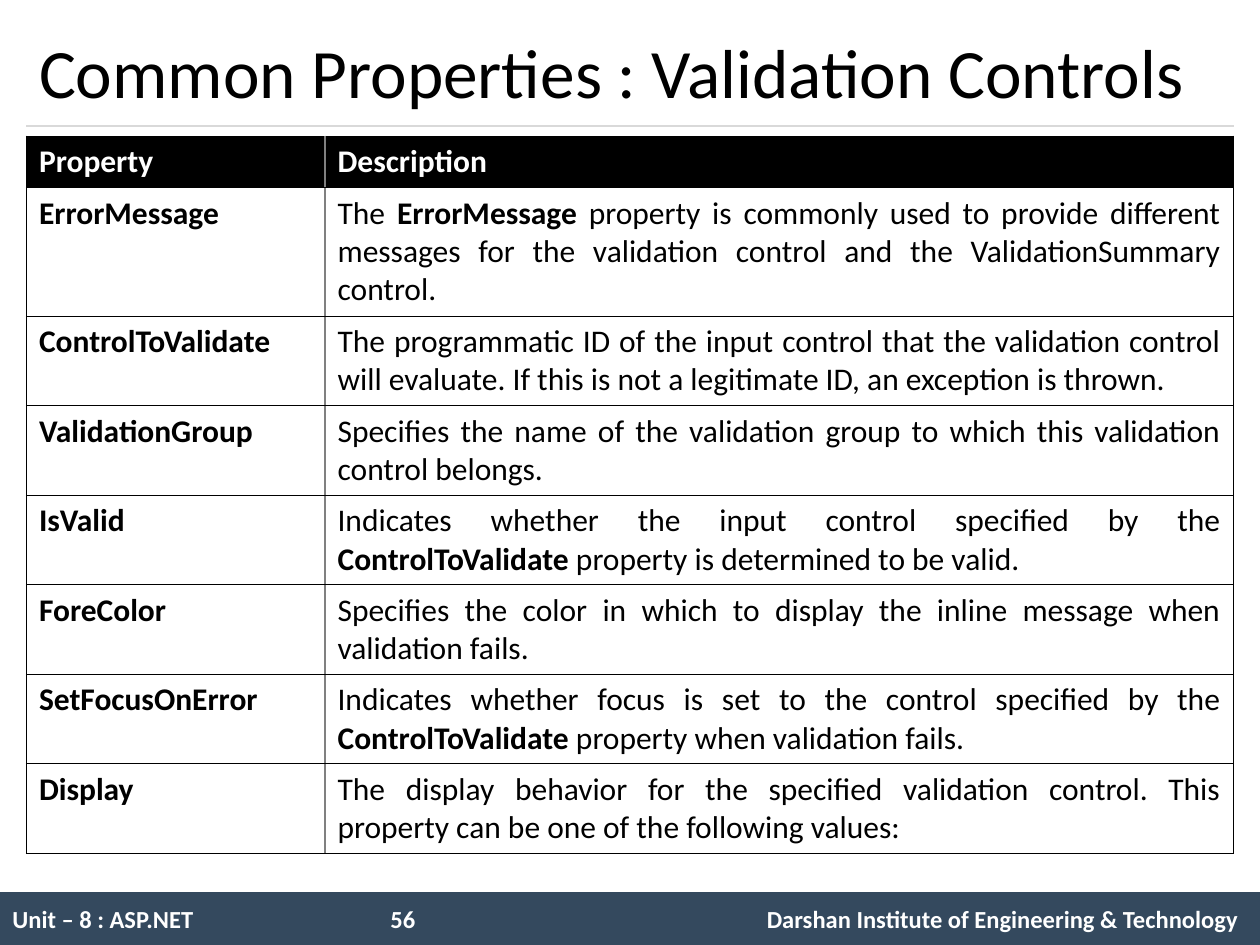
"""Builds the slide on the common properties of validation controls."""
from lxml import etree
from pptx import Presentation
from pptx.dml.color import RGBColor
from pptx.enum.shapes import MSO_CONNECTOR, MSO_SHAPE
from pptx.enum.text import MSO_ANCHOR, MSO_AUTO_SIZE, PP_ALIGN
from pptx.oxml.ns import qn
from pptx.util import Inches, Pt

BLACK = RGBColor(0x00, 0x00, 0x00)
WHITE = RGBColor(0xFF, 0xFF, 0xFF)
SLATE = RGBColor(0x34, 0x49, 0x5E)
RULE_GREY = RGBColor(0xD9, 0xD9, 0xD9)
DIVIDER_GREY = RGBColor(0x80, 0x80, 0x80)
LEFT, JUSTIFY = PP_ALIGN.LEFT, PP_ALIGN.JUSTIFY
MIDDLE = MSO_ANCHOR.MIDDLE
NO_FIT = MSO_AUTO_SIZE.NONE
RECTANGLE = MSO_SHAPE.RECTANGLE
STRAIGHT = MSO_CONNECTOR.STRAIGHT

MARGIN, CONTENT_WIDTH = 0.21, 9.58
COLUMN_WIDTHS = (2.37, 7.21)
ROW_HEIGHTS = (0.41, 1.02) + (0.71,) * 6
OUTER, DIVIDER = (BLACK, 0.75), (DIVIDER_GREY, 1)

HEADINGS = ("Property", "Description")
PROPERTIES = (
    ("ErrorMessage", "The **ErrorMessage** property is commonly used to provide different "
     "messages for the validation control and the ValidationSummary control."),
    ("ControlToValidate", "The programmatic ID of the input control that the validation control "
     "will evaluate. If this is not a legitimate ID, an exception is thrown."),
    ("ValidationGroup", "Specifies the name of the validation group to which this validation "
     "control belongs."),
    ("IsValid", "Indicates whether the input control specified by the **ControlToValidate** "
     "property is determined to be valid."),
    ("ForeColor", "Specifies the color in which to display the inline message when "
     "validation fails."),
    ("SetFocusOnError", "Indicates whether focus is set to the control specified by the "
     "**ControlToValidate** property when validation fails."),
    ("Display", "The display behavior for the specified validation control. This property "
     "can be one of the following values:"),
)
FOOTER = ("Unit – 8 : ASP.NET", "56", "Darshan Institute of Engineering & Technology")
FOOTER_TABS = ((3, "l"), (9.73, "r"))


def write(frame, text, size=18, color=BLACK, bold=False, align=LEFT, font="Calibri"):
    """Write text into a frame, switching weight at each double asterisk."""
    paragraph = frame.paragraphs[0]
    paragraph.alignment = align
    for index, part in enumerate(text.split("**")):
        run = paragraph.add_run()
        run.text = part
        run.font.name = font
        run.font.size = Pt(size)
        run.font.bold = bold != (index % 2 == 1)
        run.font.color.rgb = color
    return paragraph


def set_borders(cell, **borders):
    """Draw the named sides of a cell, given as L, R, T and B."""
    properties = cell._tc.get_or_add_tcPr()
    for position, side in enumerate("LRTB"):
        color, width = borders[side]
        line = etree.Element(qn(f"a:ln{side}"), w=str(Pt(width)))
        fill = etree.SubElement(line, qn("a:solidFill"))
        etree.SubElement(fill, qn("a:srgbClr"), val=str(color))
        properties.insert(position, line)


class SlideBuilder:
    """Holds the current slide and adds its elements."""

    def __init__(self, slide):
        """Keep the slide to build on."""
        self.slide = slide

    def title(self, text):
        """Place and fill the title placeholder."""
        title = self.slide.shapes.title
        title.left, title.top = Inches(MARGIN), Inches(0.12)
        title.width, title.height = Inches(CONTENT_WIDTH), Inches(0.88)
        title.text_frame.auto_size = NO_FIT
        title.text_frame.vertical_anchor = MIDDLE
        write(title.text_frame, text, size=39.6)

    def rule(self, top):
        """Draw the thin line below the title."""
        rule = self.slide.shapes.add_connector(
            STRAIGHT, Inches(MARGIN), Inches(top), Inches(MARGIN + CONTENT_WIDTH), Inches(top))
        rule.line.color.rgb = RULE_GREY
        rule.line.width = Pt(0.75)
        etree.SubElement(rule._element.spPr, qn("a:effectLst"))

    def footer(self, parts, tabs):
        """Draw the footer bar with its parts set at tab stops."""
        bar = self.slide.shapes.add_shape(
            RECTANGLE, Inches(0), Inches(7.08), Inches(10), Inches(0.42))
        bar.shadow.inherit = False
        bar.fill.solid()
        bar.fill.fore_color.rgb = SLATE
        bar.line.fill.background()
        bar.text_frame.word_wrap = True
        bar.text_frame.vertical_anchor = MIDDLE
        paragraph = write(bar.text_frame, "\t".join(parts), size=14, color=WHITE, bold=True)
        stops = etree.SubElement(paragraph._p.get_or_add_pPr(), qn("a:tabLst"))
        for position, align in tabs:
            etree.SubElement(stops, qn("a:tab"), pos=str(Inches(position)), algn=align)

    def table(self, headings, rows, top):
        """Add the property table with a black heading row."""
        table = self.slide.shapes.add_table(
            len(rows) + 1, len(headings), Inches(MARGIN), Inches(top),
            Inches(CONTENT_WIDTH), Inches(sum(ROW_HEIGHTS))).table
        table.horz_banding = False
        for column, width in zip(table.columns, COLUMN_WIDTHS):
            column.width = Inches(width)
        for row, height in zip(table.rows, ROW_HEIGHTS):
            row.height = Inches(height)
        for row_index, texts in enumerate((headings, *rows)):
            heading = row_index == 0
            for column_index, text in enumerate(texts):
                name = column_index == 0
                cell = table.cell(row_index, column_index)
                cell.fill.solid()
                cell.fill.fore_color.rgb = BLACK if heading else WHITE
                write(cell.text_frame, text, color=WHITE if heading else BLACK,
                      bold=heading or name, align=LEFT if heading or name else JUSTIFY)
                set_borders(cell, L=OUTER if name else DIVIDER,
                            R=DIVIDER if name else OUTER, T=OUTER, B=OUTER)


def main():
    """Build and save the presentation."""
    presentation = Presentation()
    presentation.slide_width, presentation.slide_height = Inches(10), Inches(7.5)
    builder = SlideBuilder(presentation.slides.add_slide(presentation.slide_layouts[5]))
    builder.footer(FOOTER, FOOTER_TABS)
    builder.rule(1)
    builder.title("Common Properties : Validation Controls")
    builder.table(HEADINGS, PROPERTIES, 1.08)
    presentation.save("out.pptx")


if __name__ == "__main__":
    main()
